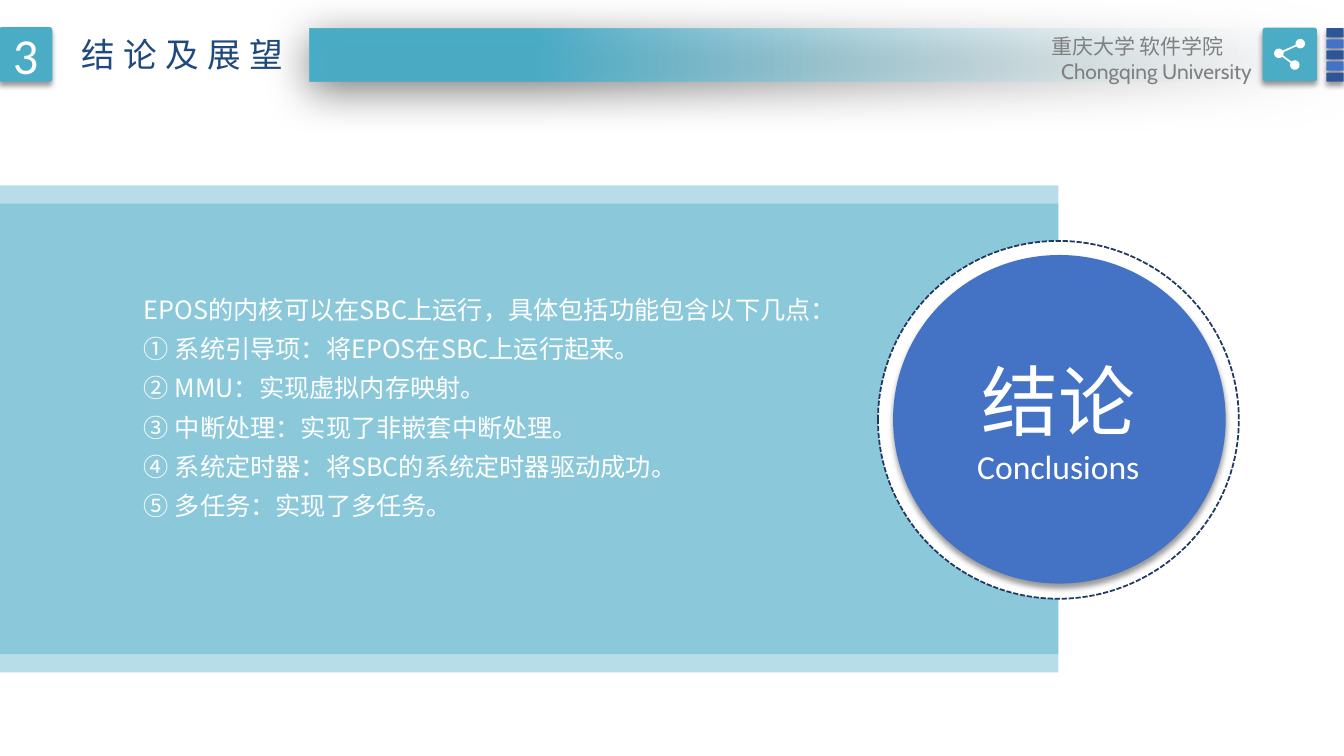
"""Build the conclusions slide with its header bar, text band and round caption."""
from dataclasses import dataclass
from math import atan2, cos, pi, sin
from typing import NamedTuple, Optional

from lxml.etree import SubElement
from pptx import Presentation
from pptx.dml.color import RGBColor
from pptx.enum.dml import MSO_LINE
from pptx.enum.shapes import MSO_SHAPE as Preset
from pptx.enum.text import MSO_ANCHOR as Anchor, MSO_AUTO_SIZE as AutoSize, PP_ALIGN as Align
from pptx.oxml.ns import qn
from pptx.shapes.autoshape import Shape
from pptx.slide import Slide
from pptx.text.text import TextFrame
from pptx.util import Inches, Pt

WIDTH, HEIGHT = Inches(13.33), Inches(7.5)
COLUMNS, ROWS = 160, 90
CJK = "Noto Sans CJK SC"
COLORS = {
    "teal": "4BACC6", "blue": "4472C4", "deep": "2F5597", "navy": "203864",
    "title": "1F497D", "grey": "808080", "white": "FFFFFF", "mist": "F6F9FC", "black": "000000",
}


class Area(NamedTuple):
    column: float
    row: float
    columns: float
    rows: float


class Node(NamedTuple):
    column: float
    row: float


class Shadow(NamedTuple):
    alpha: int
    blur: float
    distance: float
    angle: int


@dataclass
class Panel:
    area: Area
    color: str
    preset: Preset = Preset.RECTANGLE
    alpha: int = 100
    shadow: Optional[Shadow] = None
    corner: Optional[float] = None


@dataclass
class Line:
    text: str
    size: float
    color: str = "white"
    font: str = CJK
    align: Align = Align.LEFT
    leading: float = 1.0
    tracking: int = 0
    indent: float = 0


SOFT = Shadow(40, 4, 3, 90)
WIDE = Shadow(50, 31, 6, 97)


def across(columns: float) -> int:
    return round(WIDTH * columns / COLUMNS)


def down(rows: float) -> int:
    return round(HEIGHT * rows / ROWS)


def bounds(area: Area) -> tuple[int, int, int, int]:
    return across(area.column), down(area.row), across(area.columns), down(area.rows)


def rgb(color: str) -> RGBColor:
    return RGBColor.from_string(COLORS[color])


def set_alpha(color_element, percent: int) -> None:
    SubElement(color_element, qn("a:alpha"), val=str(percent * 1000))


def cast_shadow(shape: Shape, shadow: Shadow) -> None:
    effects = shape._element.spPr.find(qn("a:effectLst"))
    outer = SubElement(effects, qn("a:outerShdw"), blurRad=str(Pt(shadow.blur)),
                       dist=str(Pt(shadow.distance)), dir=str(shadow.angle * 60000),
                       algn="ctr", rotWithShape="0")
    set_alpha(SubElement(outer, qn("a:srgbClr"), val=COLORS["black"]), shadow.alpha)


def add_panel(slide: Slide, panel: Panel) -> Shape:
    shape = slide.shapes.add_shape(panel.preset, *bounds(panel.area))
    shape.shadow.inherit = False
    shape.line.fill.background()
    shape.fill.solid()
    shape.fill.fore_color.rgb = rgb(panel.color)
    if panel.alpha < 100:
        set_alpha(shape._element.spPr.find(".//" + qn("a:srgbClr")), panel.alpha)
    if panel.corner is not None:
        shape.adjustments[0] = panel.corner
    if panel.shadow:
        cast_shadow(shape, panel.shadow)
    return shape


def write(frame: TextFrame, lines: list[Line]) -> None:
    for index, line in enumerate(lines):
        paragraph = frame.add_paragraph() if index else frame.paragraphs[0]
        paragraph.text = line.text
        paragraph.alignment = line.align
        paragraph.line_spacing = line.leading
        properties = paragraph._p.get_or_add_pPr()
        if line.indent:
            properties.set("marL", str(across(line.indent)))
            properties.set("indent", "0")
        font = paragraph.font
        font.size, font.name = Pt(line.size), line.font
        font.color.rgb = rgb(line.color)
        defaults = properties.find(qn("a:defRPr"))
        SubElement(defaults, qn("a:ea"), typeface=line.font)
        if line.tracking:
            defaults.set("spc", str(line.tracking * 100))


def add_text(slide: Slide, area: Area, lines: list[Line]) -> TextFrame:
    frame = slide.shapes.add_textbox(*bounds(area)).text_frame
    frame.word_wrap = True
    write(frame, lines)
    return frame


def add_title(slide: Slide, area: Area, line: Line) -> None:
    title = slide.shapes.title
    title.left, title.top, title.width, title.height = bounds(area)
    frame = title.text_frame
    frame.word_wrap = False
    frame.auto_size = AutoSize.SHAPE_TO_FIT_TEXT
    frame.vertical_anchor = Anchor.TOP
    write(frame, [line])


def add_header_bar(slide: Slide) -> None:
    bar = add_panel(slide, Panel(Area(36.84, 3.36, 123.16, 6.36), "teal", shadow=WIDE))
    bar.fill.gradient()
    bar.fill.gradient_angle = 180
    clear, solid = bar.fill.gradient_stops
    clear.color.rgb, clear.position = rgb("mist"), 0
    solid.color.rgb, solid.position = rgb("teal"), 0.78
    set_alpha(bar._element.spPr.find(".//" + qn("a:gs") + "/" + qn("a:srgbClr")), 0)


def add_share_icon(slide: Slide) -> None:
    upper, hub, lower = Node(154.8, 5.2), Node(152.25, 6.35), Node(154.15, 7.75)
    radius, gap, steps = 0.56, 0.18, 24

    def arc(node: Node, start: Node, end: Node) -> list[tuple[int, int]]:
        first = atan2(start.row - node.row, start.column - node.column) + gap
        last = atan2(end.row - node.row, end.column - node.column) - gap
        sweep = (last - first) % (2 * pi)
        angles = [first + sweep * step / steps for step in range(steps + 1)]
        return [(across(node.column + radius * cos(angle)), down(node.row + radius * sin(angle)))
                for angle in angles]

    outline = (arc(upper, hub, hub) + arc(hub, upper, lower)
               + arc(lower, hub, hub) + arc(hub, lower, upper))
    builder = slide.shapes.build_freeform(*outline[0])
    builder.add_line_segments(outline[1:], close=True)
    icon = builder.convert_to_shape()
    icon.shadow.inherit = False
    icon.fill.solid()
    icon.fill.fore_color.rgb = rgb("white")
    icon.line.fill.background()


def add_header(slide: Slide) -> None:
    add_header_bar(slide)
    rounded = Preset.ROUNDED_RECTANGLE
    badge = add_panel(slide, Panel(Area(-0.12, 3.24, 6.36, 6.48), "teal", rounded, shadow=SOFT, corner=0.05))
    badge.text_frame.vertical_anchor = Anchor.MIDDLE
    write(badge.text_frame, [Line("3", 36, font="Calibri", align=Align.CENTER)])
    add_title(slide, Area(8.52, 3.48, 27.72, 6), Line("结论及展望", 24, "title", tracking=6))
    for index in range(5):
        area = Area(157.92, 3.36 + 1.32 * index, 2.04, 1.08)
        add_panel(slide, Panel(area, ("deep", "blue")[index % 2], rounded, shadow=SOFT, corner=0.05))
    add_panel(slide, Panel(Area(150.3, 3.3, 6.48, 6.36), "teal", rounded, shadow=SOFT, corner=0.05))
    add_share_icon(slide)
    school = add_text(slide, Area(121.8, 3.36, 28.44, 7.56), [
        Line("重庆大学 软件学院", 15, "grey", indent=2.15),
        Line("Chongqing University", 15, "grey", "Cabin", indent=3.35),
    ])
    school.margin_right = 0


def add_conclusions(slide: Slide) -> None:
    for row in (24.24, 22.08):
        add_panel(slide, Panel(Area(0, row, 126, 55.8), "teal", alpha=40))
    ring = add_panel(slide, Panel(Area(104.52, 28.68, 42.96, 42.6), "white", Preset.OVAL))
    ring.line.color.rgb = rgb("navy")
    ring.line.width = Pt(1.25)
    ring.line.dash_style = MSO_LINE.SQUARE_DOT
    add_panel(slide, Panel(Area(106.32, 30.36, 39.6, 39.12), "blue", Preset.OVAL, shadow=SOFT))
    add_text(slide, Area(113.76, 41.52, 24.48, 17.16), [
        Line("结论", 55, align=Align.CENTER),
        Line("Conclusions", 24, font="Calibri", align=Align.CENTER),
    ])
    findings = [
        "EPOS的内核可以在SBC上运行，具体包括功能包含以下几点：",
        "① 系统引导项：将EPOS在SBC上运行起来。",
        "② MMU：实现虚拟内存映射。",
        "③ 中断处理：实现了非嵌套中断处理。",
        "④ 系统定时器：将SBC的系统定时器驱动成功。",
        "⑤ 多任务：实现了多任务。",
    ]
    add_text(slide, Area(15.96, 33.36, 82.44, 29.52), [Line(text, 18, leading=1.3) for text in findings])


def main() -> None:
    deck = Presentation()
    deck.slide_width, deck.slide_height = WIDTH, HEIGHT
    slide = deck.slides.add_slide(deck.slide_layouts.get_by_name("Title Only"))
    add_conclusions(slide)
    add_header(slide)
    deck.save("out.pptx")


if __name__ == "__main__":
    main()
